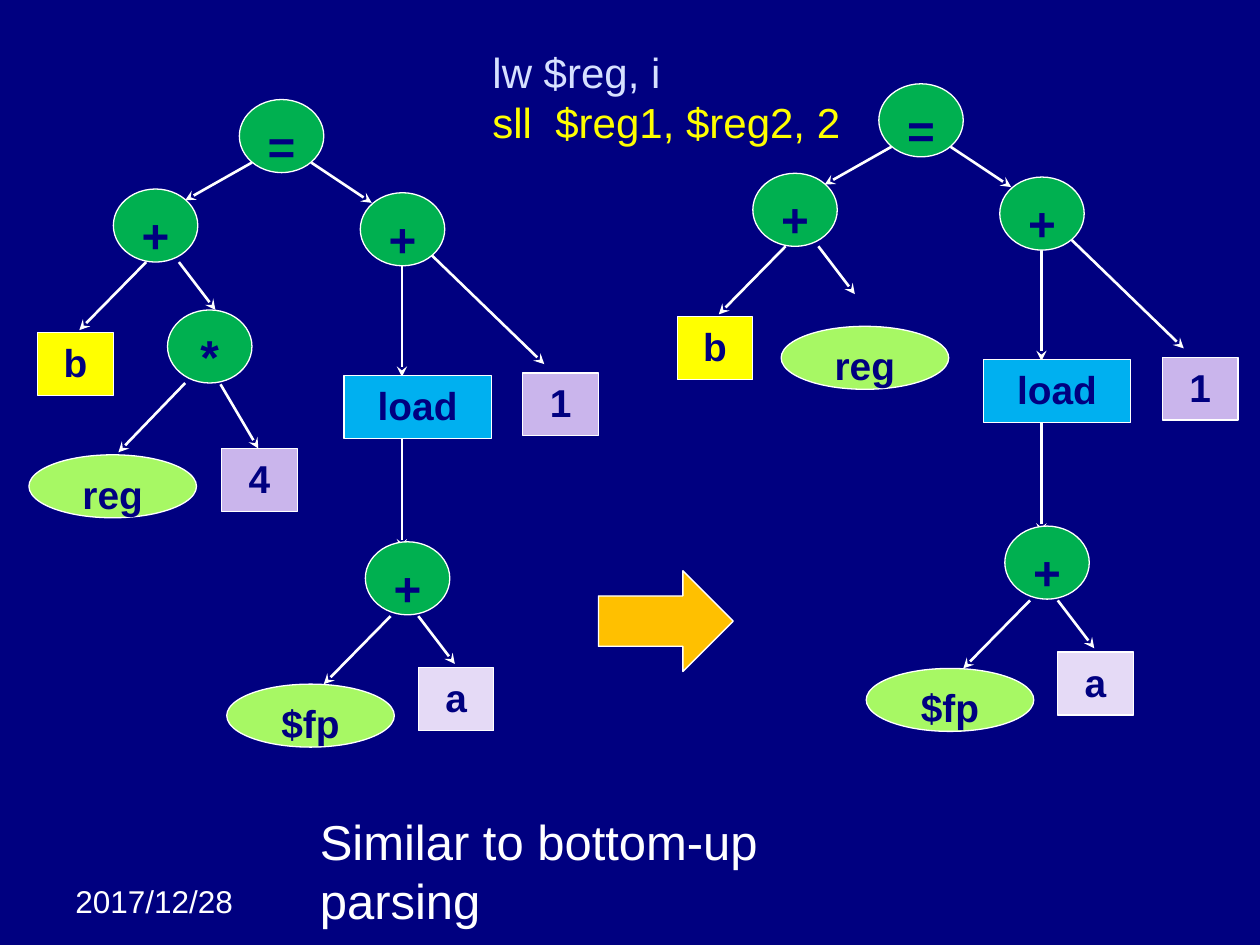
from typing import NamedTuple

from lxml import etree
from pptx import Presentation
from pptx.dml.color import RGBColor
from pptx.enum.shapes import MSO_CONNECTOR, MSO_SHAPE
from pptx.enum.text import MSO_ANCHOR, PP_ALIGN
from pptx.oxml.ns import qn
from pptx.util import Inches, Pt

OVAL, RECT, ARROW = MSO_SHAPE.OVAL, MSO_SHAPE.RECTANGLE, MSO_SHAPE.RIGHT_ARROW
LINE = MSO_CONNECTOR.STRAIGHT
TOP, CENTER, LEFT = MSO_ANCHOR.TOP, PP_ALIGN.CENTER, PP_ALIGN.LEFT

COLS, ROWS = 1000, 750
NAVY, WHITE, YELLOW = "000080", "FFFFFF", "FFFF00"


class Kind(NamedTuple):
    form: int
    w: float
    h: float
    fill: str
    size: float = 22.2


class Node(NamedTuple):
    kind: Kind
    text: str
    x: float
    y: float


class Edge(NamedTuple):
    x: float
    y: float
    dx: float
    dy: float


class Label(NamedTuple):
    text: str
    x: float
    y: float
    w: float
    h: float
    size: float
    color: str
    wrap: bool = False


class Tree(NamedTuple):
    dx: float
    dy: float
    nodes: list
    edges: list


OP = Kind(OVAL, 67, 58, "00B050", 27.2)
REG = Kind(OVAL, 133, 50, "A7F864")
LOAD = Kind(RECT, 117, 50, "00B0F0")
NAME = Kind(RECT, 60, 50, YELLOW)
NUM = Kind(RECT, 60, 50, "CAB5EC")
SLOT = Kind(RECT, 60, 50, "E5DAF6")
NEXT = Kind(ARROW, 107, 80, "FFC000")

NODES = [
    Node(OP, "=", 190, 79), Node(OP, "+", 90, 150), Node(OP, "+", 286, 153),
    Node(NAME, "b", 30, 264), Node(LOAD, "load", 273, 298),
    Node(NUM, "1", 415, 296), Node(OP, "+", 290, 430),
    Node(REG, "$fp", 180, 543), Node(SLOT, "a", 332, 530),
]
EDGES = [
    Edge(200, 129, -53, 30), Edge(247, 129, 48, 32),
    Edge(142, 208, 29, 38), Edge(116, 208, -53, 54),
    Edge(319, 211, 0, 88), Edge(319, 348, 0, 88),
    Edge(310, 489, -53, 54), Edge(332, 489, 29, 38),
    Edge(341, 201, 91, 88),
]
TREES = [
    Tree(0, 0,
         NODES + [Node(OP, "*", 133, 246), Node(NUM, "4", 176, 356),
                  Node(REG, "reg", 23, 361)],
         EDGES + [Edge(147, 304, -53, 55), Edge(175, 305, 30, 51)]),
    Tree(507.5, -12.5, NODES + [Node(REG, "reg", 112.5, 271.5)], EDGES),
]
LABELS = [
    Label("lw $reg, i", 381, 32, 162, 50, 24, "D6E0FF"),
    Label("sll  $reg1, $reg2, 2", 381, 72, 296, 50, 24, YELLOW),
    Label("Similar to bottom-up parsing", 244, 639, 505, 57, 28, WHITE),
    Label("2017/12/28", 50, 695, 158, 40, 18, WHITE, True),
]

deck = Presentation()
deck.slide_width, deck.slide_height = Inches(10), Inches(7.5)
slide = deck.slides.add_slide(deck.slide_layouts[6])
shapes = slide.shapes


def col(x: float) -> int:
    return round(deck.slide_width * x / COLS)


def row(y: float) -> int:
    return round(deck.slide_height * y / ROWS)


def paint(target, color: str) -> None:
    target.solid()
    target.fore_color.rgb = RGBColor.from_string(color)


def write(shape, text: str, size: float, color: str, align, bold: bool, wrap: bool) -> None:
    frame = shape.text_frame
    frame.word_wrap = wrap
    frame.vertical_anchor = TOP
    para = frame.paragraphs[0]
    para.text = text
    para.alignment = align
    font = para.font
    font.name, font.size, font.bold = "Arial", Pt(size), bold
    paint(font.fill, color)


def draw_node(node: Node, dx: float = 0, dy: float = 0) -> None:
    kind = node.kind
    shape = shapes.add_shape(kind.form, col(node.x + dx), row(node.y + dy),
                             col(kind.w), row(kind.h))
    shape.shadow.inherit = False
    paint(shape.fill, kind.fill)
    paint(shape.line.fill, WHITE)
    shape.line.width = Pt(0.75)
    if node.text:
        write(shape, node.text, kind.size, NAVY, CENTER, True, True)


def draw_edge(edge: Edge, dx: float, dy: float) -> None:
    x, y = edge.x + dx, edge.y + dy
    line = shapes.add_connector(LINE, col(x), row(y), col(x + edge.dx), row(y + edge.dy))
    paint(line.line.fill, WHITE)
    line.line.width = Pt(1.5)
    props = line._element.spPr
    etree.SubElement(props.find(qn("a:ln")), qn("a:tailEnd"), type="stealth", w="med", len="med")
    etree.SubElement(props, qn("a:effectLst"))


def draw_label(label: Label) -> None:
    box = shapes.add_textbox(col(label.x), row(label.y), col(label.w), row(label.h))
    write(box, label.text, label.size, label.color, LEFT, False, label.wrap)


def main() -> None:
    paint(slide.background.fill, NAVY)
    for tree in TREES:
        for edge in tree.edges:
            draw_edge(edge, tree.dx, tree.dy)
        for node in tree.nodes:
            draw_node(node, tree.dx, tree.dy)
    draw_node(Node(NEXT, "", 475, 453))
    for label in LABELS:
        draw_label(label)
    deck.save("out.pptx")


if __name__ == "__main__":
    main()
